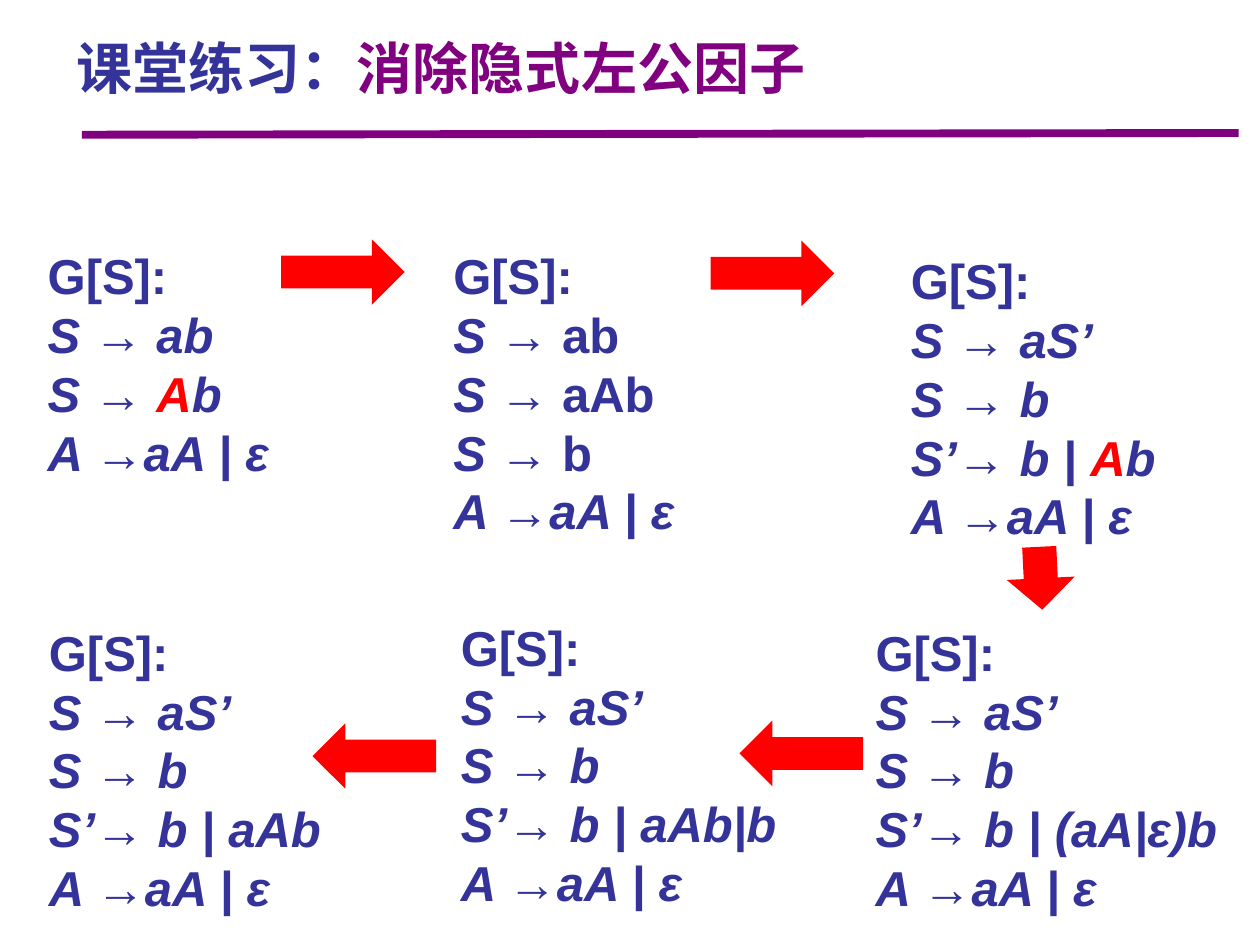
from pptx import Presentation
from pptx.dml.color import RGBColor
from pptx.enum.shapes import MSO_CONNECTOR, MSO_SHAPE
from pptx.enum.text import MSO_ANCHOR
from pptx.oxml.ns import qn
from pptx.util import Pt

COLORS = {"text": "333399", "accent": "800080", "highlight": "FF0000"}


def add_text_box(left, top, width, height):
    box = page.shapes.add_textbox(Pt(left), Pt(top), Pt(width), Pt(height))
    box.text_frame.word_wrap = True
    return box.text_frame


def add_span(para, text, font_name, size, color, italic=False):
    """Append a bold run, with the same font for Latin and East Asian text."""
    span = para.add_run()
    span.text = text
    span.font.name = font_name
    span.font.size = Pt(size)
    span.font.bold = True
    span.font.italic = italic
    span.font.color.rgb = RGBColor.from_string(COLORS[color])
    east_asian = span.font._element.makeelement(qn("a:ea"), {"typeface": font_name})
    span.font._element.find(qn("a:latin")).addnext(east_asian)


deck = Presentation()
deck.slide_width, deck.slide_height = Pt(720), Pt(540)
page = deck.slides.add_slide(deck.slide_layouts[6])

# Title and rule
rule = page.shapes.add_connector(
    MSO_CONNECTOR.STRAIGHT, Pt(46.8), Pt(77), Pt(707.8), Pt(76)
)
rule.line.color.rgb = RGBColor.from_string(COLORS["accent"])
rule.line.width = Pt(4.5)
properties = rule._element.spPr
properties.append(properties.makeelement(qn("a:effectLst"), {}))

title = add_text_box(36.7, 15.1, 623.5, 46.1)
title.vertical_anchor = MSO_ANCHOR.MIDDLE
title.margin_top = title.margin_bottom = 0
for text, color in [("课堂练习：", "text"), ("消除隐式左公因子", "accent")]:
    add_span(title.paragraphs[0], text, "Noto Sans CJK SC", 32, color)

# Grammars: box, then the rules between the shared first and last lines.
# "*" surrounds a highlighted symbol; "_" starts the upright part of a rule.
grammars = [
    ((20.2, 133.9, 158.4, 153.4), ["S → ab", "S → *A*b"]),
    ((252, 133.9, 147.6, 170.6), ["S → _ab", "S → _aAb", "S → _b"]),
    ((513.4, 136.8, 169.9, 181.4), ["S → aS’", "S → b", "S’→ b | *A*b"]),
    ((493.2, 349.2, 210.2, 181.4), ["S → aS’", "S → b", "S’→ b | (aA|ε)b"]),
    ((256.3, 346.3, 210.2, 181.4), ["S → aS’", "S → b", "S’→ b | aAb|b"]),
    ((20.9, 349.2, 210.2, 181.4), ["S → aS’", "S → b", "S’→ b | aAb"]),
]
for bounds, rules in grammars:
    frame = add_text_box(*bounds)
    frame.margin_top = Pt(6.4)
    add_span(frame.paragraphs[0], "G[S]:", "Arial", 28, "text")
    for line in rules + ["A →aA | ε"]:
        para = frame.add_paragraph()
        slanted, _, upright = line.partition("_")
        for index, text in enumerate(slanted.split("*")):
            color = "highlight" if index % 2 else "text"
            add_span(para, text, "Arial", 28, color, italic=True)
        if upright:
            add_span(para, upright, "Arial", 28, "text")

# Arrows between the steps: left, top, width, height, rotation
arrows = [
    (160.6, 136.8, 70.6, 37.4, 0),
    (406.1, 137.5, 70.6, 37.4, 0),
    (576.7, 311, 36, 38.9, 87.2),
    (422.6, 411.8, 70.6, 37.4, 180),
    (178.6, 413.3, 70.6, 37.4, 180),
]
for *bounds, rotation in arrows:
    arrow = page.shapes.add_shape(MSO_SHAPE.RIGHT_ARROW, *map(Pt, bounds))
    arrow.rotation = rotation
    arrow.shadow.inherit = False
    arrow.fill.solid()
    arrow.fill.fore_color.rgb = RGBColor.from_string(COLORS["highlight"])
    arrow.line.fill.background()

deck.save("out.pptx")
